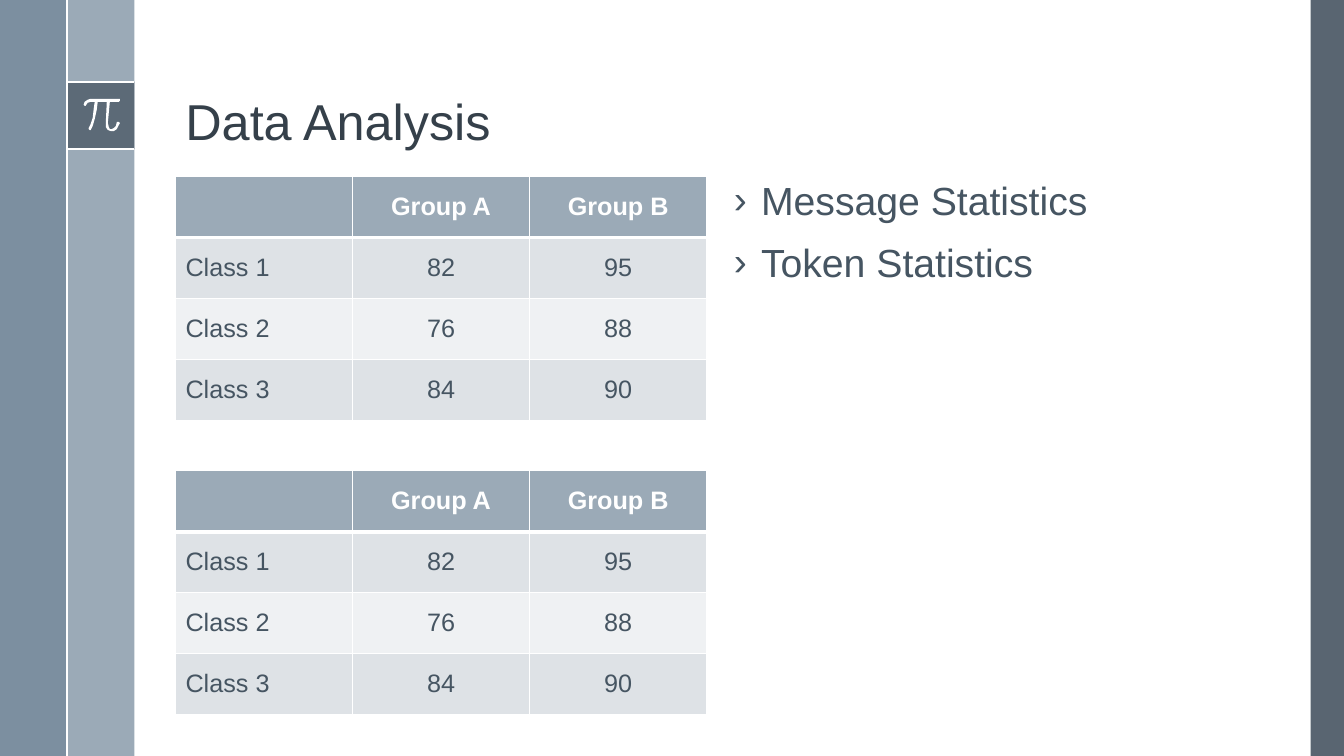
from lxml import etree
from pptx import Presentation
from pptx import util as u
from pptx.dml.color import RGBColor
from pptx.enum import shapes, text
from pptx.oxml.ns import qn

TITLE = "Data Analysis"
BULLETS = ["Message Statistics", "Token Statistics"]
SCORES = [
    ("", "Group A", "Group B"),
    ("Class 1", "82", "95"),
    ("Class 2", "76", "88"),
    ("Class 3", "84", "90"),
]
# Outline of the pi sign, in hundredths of an inch
PI_POINTS = [
    (118, 98), (90, 98), (87, 98.7), (84.5, 101), (83, 104), (84, 105.2), (85, 105),
    (87, 102), (90, 101), (94, 101), (93.3, 108), (92, 117), (90.5, 123), (88, 127),
    (87.6, 128.4), (89, 129.4), (90, 129), (92.5, 125), (94.5, 118), (96, 109), (97, 101),
    (106, 101), (105, 122), (105.3, 126), (107, 129), (110, 130.2), (113, 129.8),
    (116, 127.5), (118, 124.5), (119, 122), (118, 120.8), (116.4, 121.4), (115, 125),
    (113, 127.3), (111, 128), (109, 127.7), (107.5, 125.5), (107.2, 122), (109, 101),
    (118, 101), (119.3, 100), (119, 98.4),
]

FONT = "Arial"
WHITE = RGBColor(0xFF, 0xFF, 0xFF)
TITLE_INK = RGBColor(0x35, 0x40, 0x4A)
INK = RGBColor(0x46, 0x55, 0x62)
SLATE = RGBColor(0x47, 0x55, 0x62)
STEEL = RGBColor(0x6A, 0x80, 0x93)
MIST = RGBColor(0x9B, 0xAA, 0xB7)
BANDS = [RGBColor(0xEF, 0xF1, 0xF3), RGBColor(0xDE, 0xE2, 0xE6)]

W, H = 13.33, 7.5
STRIP = W / 20
BADGE_TOP = 0.81
LEFT, BODY_TOP, BODY_W = 1.74, 1.75, 5.27
TABLE_H, TABLE_STEP = 2.42, 2.92
BODY_X = 7.18

prs = Presentation()
prs.slide_width, prs.slide_height = u.Inches(W), u.Inches(H)
s = prs.slides.add_slide(prs.slide_layouts[6])


def inches(*lengths):
    return [u.Inches(v) for v in lengths]


def add_block(x, y, w, h, color, opacity=100):
    sp = s.shapes.add_shape(shapes.MSO_SHAPE.RECTANGLE, *inches(x, y, w, h))
    sp.shadow.inherit = False
    sp.fill.solid()
    sp.fill.fore_color.rgb = color
    sp.line.fill.background()
    if opacity < 100:
        clr = sp._element.spPr.find(qn("a:solidFill"))[0]
        etree.SubElement(clr, qn("a:alpha"), val=str(opacity * 1000))


def add_rule(x1, y1, x2, y2):
    ln = s.shapes.add_connector(shapes.MSO_CONNECTOR.STRAIGHT, *inches(x1, y1, x2, y2))
    ln.line.color.rgb = WHITE
    ln.line.width = u.Pt(1.5)
    etree.SubElement(ln._element.spPr, qn("a:effectLst"))


def add_pi():
    fb = s.shapes.build_freeform(*PI_POINTS[0], scale=u.Inches(0.01))
    fb.add_line_segments(PI_POINTS[1:], close=True)
    sp = fb.convert_to_shape()
    sp.shadow.inherit = False
    sp.fill.solid()
    sp.fill.fore_color.rgb = WHITE
    sp.line.fill.background()


def add_run(p, words, size, color, bold=False):
    r = p.add_run()
    r.text = words
    f = r.font
    f.name, f.size, f.bold = FONT, u.Pt(size), bold
    f.color.rgb = color


def add_text_frame(x, y, w, h):
    tf = s.shapes.add_textbox(*inches(x, y, w, h)).text_frame
    tf.word_wrap = True
    return tf


def set_borders(cell, top, bottom):
    """Draw white cell borders; top and bottom are widths in points."""
    tc_pr = cell._tc.get_or_add_tcPr()
    for side, width in (("L", 1), ("R", 1), ("T", top), ("B", bottom)):
        ln = etree.SubElement(tc_pr, qn("a:ln" + side), w=str(u.Pt(width)))
        fill = etree.SubElement(ln, qn("a:solidFill"))
        etree.SubElement(fill, qn("a:srgbClr"), val=str(WHITE))


def add_score_table(y):
    rows, cols = len(SCORES), len(SCORES[0])
    tb = s.shapes.add_table(rows, cols, *inches(LEFT, y, BODY_W, TABLE_H)).table
    for col in tb.columns:
        col.width = u.Inches(BODY_W / cols)
    for i, row in enumerate(SCORES):
        tb.rows[i].height = u.Inches(TABLE_H / rows)
        for j, words in enumerate(row):
            cell = tb.cell(i, j)
            set_borders(cell, 3 if i == 1 else 1, 3 if i == 0 else 1)
            cell.fill.solid()
            cell.fill.fore_color.rgb = BANDS[i % 2] if i else MIST
            cell.vertical_anchor = text.MSO_ANCHOR.MIDDLE
            p = cell.text_frame.paragraphs[0]
            p.alignment = text.PP_ALIGN.CENTER if j else text.PP_ALIGN.LEFT
            if words:
                add_run(p, words, 18, INK if i else WHITE, bold=i == 0)


def add_bullets():
    tf = add_text_frame(BODY_X, BODY_TOP, BODY_W, 5)
    for i, words in enumerate(BULLETS):
        p = tf.add_paragraph() if i else tf.paragraphs[0]
        p.line_spacing, p.space_before = 0.9, u.Pt(14)
        p_pr = p._p.get_or_add_pPr()
        indent = u.Inches(0.27)
        p_pr.set("marL", str(indent))
        p_pr.set("indent", str(-indent))
        etree.SubElement(p_pr, qn("a:buFont"), typeface=FONT)
        etree.SubElement(p_pr, qn("a:buChar"), char="›")
        add_run(p, words, 28, INK)


add_block(13, 0, W - 13, H, SLATE, 90)
add_block(STRIP, 0, STRIP, H, MIST)
add_block(0, 0, STRIP, H, STEEL, 88)
add_block(STRIP, BADGE_TOP, STRIP, STRIP, SLATE, 75)
for y in (BADGE_TOP, BADGE_TOP + STRIP):
    add_rule(STRIP, y, 2 * STRIP, y)
add_pi()
add_rule(STRIP, 0, STRIP, H)

title = add_text_frame(LEFT, 0.19, 10.7, 1.36)
title.vertical_anchor = text.MSO_ANCHOR.BOTTOM
title.paragraphs[0].line_spacing = 0.9
add_run(title.paragraphs[0], TITLE, 36, TITLE_INK)

add_score_table(BODY_TOP)
add_bullets()
add_score_table(BODY_TOP + TABLE_STEP)

prs.save("out.pptx")
